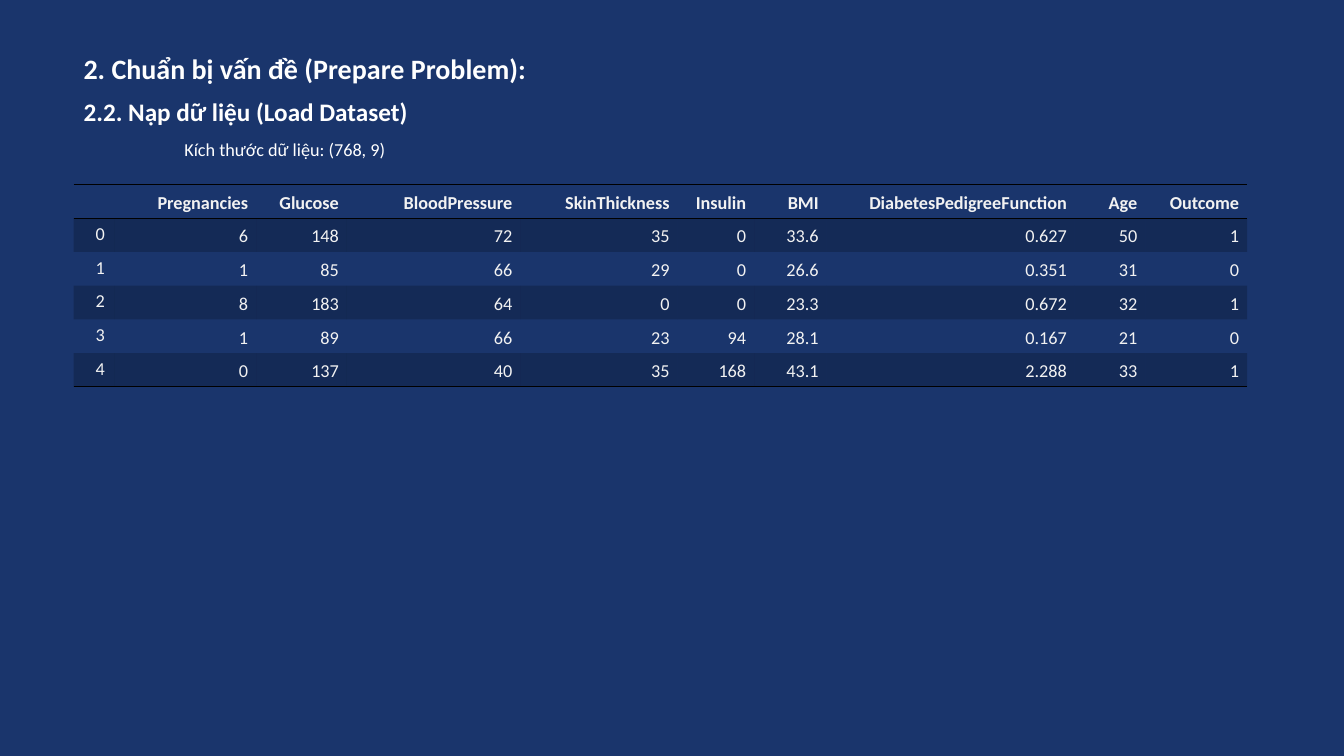
from lxml import etree
from pptx import Presentation
from pptx import util as u
from pptx.dml import color
from pptx.enum import text
from pptx.oxml import ns

WIDE, HIGH = 13.33, 7.5
LEFT, TOP = 5.48, 6.67
SPANS = [0.41, 1.4, 0.9, 1.72, 1.56, 0.76, 0.72, 2.46, 0.7, 1.01]
HEADS = ["", "Pregnancies", "Glucose", "BloodPressure", "SkinThickness",
         "Insulin", "BMI", "DiabetesPedigreeFunction", "Age", "Outcome"]
DATA = [
    ["0", "6", "148", "72", "35", "0", "33.6", "0.627", "50", "1"],
    ["1", "1", "85", "66", "29", "0", "26.6", "0.351", "31", "0"],
    ["2", "8", "183", "64", "0", "0", "23.3", "0.672", "32", "1"],
    ["3", "1", "89", "66", "23", "94", "28.1", "0.167", "21", "0"],
    ["4", "0", "137", "40", "35", "168", "43.1", "2.288", "33", "1"],
]
PLAIN = "{2D5ABB26-0587-4C30-8999-92F81FD0307C}"


def rgb(code):
    return color.RGBColor.from_string(code)


def sub(node, tag, **attrs):
    return etree.SubElement(node, ns.qn(tag), **attrs)


class Deck:
    """Slide style and drawing methods, with lengths in percent of the slide."""

    font, ink, pale, dark, back = "Calibri", "FFFFFF", "F2F2F2", "000000", "1A356C"
    small = 13

    def __init__(self):
        self.file = Presentation()
        self.file.slide_width = u.Inches(WIDE)
        self.file.slide_height = u.Inches(HIGH)
        self.slide = self.file.slides.add_slide(self.file.slide_layouts[6])
        fill = self.slide.background.fill
        fill.solid()
        fill.fore_color.rgb = rgb(self.back)

    def box(self, x, y, w, h):
        return (u.Inches(WIDE * x / 100), u.Inches(HIGH * y / 100),
                u.Inches(WIDE * w / 100), u.Inches(HIGH * h / 100))

    def run(self, para, words, size, ink, bold):
        run = para.add_run()
        run.text = words
        font = run.font
        font.name, font.size, font.bold = self.font, u.Pt(size), bold
        font.color.rgb = rgb(ink)

    def body(self, area, lines):
        frame = self.slide.shapes.add_textbox(*self.box(*area)).text_frame
        frame.word_wrap = True
        for i, (words, size, bold, inset) in enumerate(lines):
            para = frame.add_paragraph() if i else frame.paragraphs[0]
            para.line_spacing, para.space_before = 0.9, u.Pt(10)
            if inset:
                para._p.get_or_add_pPr().set("marL", str(u.Inches(inset)))
            self.run(para, words, size, self.ink, bold)

    def rule(self, cell, sides):
        for side in sides:
            line = sub(cell._tc.get_or_add_tcPr(), "a:ln" + side, w=str(u.Pt(1)))
            sub(sub(line, "a:solidFill"), "a:srgbClr", val=self.dark)

    def shade(self, cell, on):
        if not on:
            cell.fill.background()
            return
        cell.fill.solid()
        cell.fill.fore_color.rgb = rgb(self.dark)
        fill = cell._tc.tcPr.find(ns.qn("a:solidFill"))
        sub(fill.find(ns.qn("a:srgbClr")), "a:alpha", val="20000")

    def enter(self, cell, words, bold, index):
        para = cell.text_frame.paragraphs[0]
        para.alignment = text.PP_ALIGN.RIGHT
        if not index:
            cell.vertical_anchor = text.MSO_ANCHOR.MIDDLE
            cell.margin_left = cell.margin_right = u.Inches(0.08)
            cell.margin_top = cell.margin_bottom = u.Inches(0.04)
            para.line_spacing, para.space_after = 1.15, u.Pt(8)
        if words:
            self.run(para, words, self.small, self.pale, bold)
        else:
            sub(para._p, "a:endParaRPr", sz=str(self.small * 100))

    def table(self, area, spans, rows):
        frame = self.slide.shapes.add_table(len(rows), len(spans), *self.box(*area))
        table = frame.table
        table.first_row = table.horz_banding = False
        table._tbl.tblPr.find(ns.qn("a:tableStyleId")).text = PLAIN
        for col, span in zip(table.columns, spans):
            col.width = u.Inches(span)
        last = len(rows) - 1
        for r, row in enumerate(rows):
            for c, words in enumerate(row):
                cell = table.cell(r, c)
                self.enter(cell, words, r == 0, c == 0)
                self.rule(cell, {0: "TB", last: "B"}.get(r, ""))
                self.shade(cell, r % 2 == 1)


def main():
    deck = Deck()
    deck.body((LEFT, TOP, 88.75, 81.07), [
        ("2. Chuẩn bị vấn đề (Prepare Problem):", 20, True, 0),
        ("2.2. Nạp dữ liệu (Load Dataset)", 18, True, 0),
        ("Kích thước dữ liệu: (768, 9)", 13, False, 1),
    ])
    deck.table((LEFT, 24.4, 87.32, 26.8), SPANS, [HEADS] + DATA)
    deck.file.save("out.pptx")


if __name__ == "__main__":
    main()
